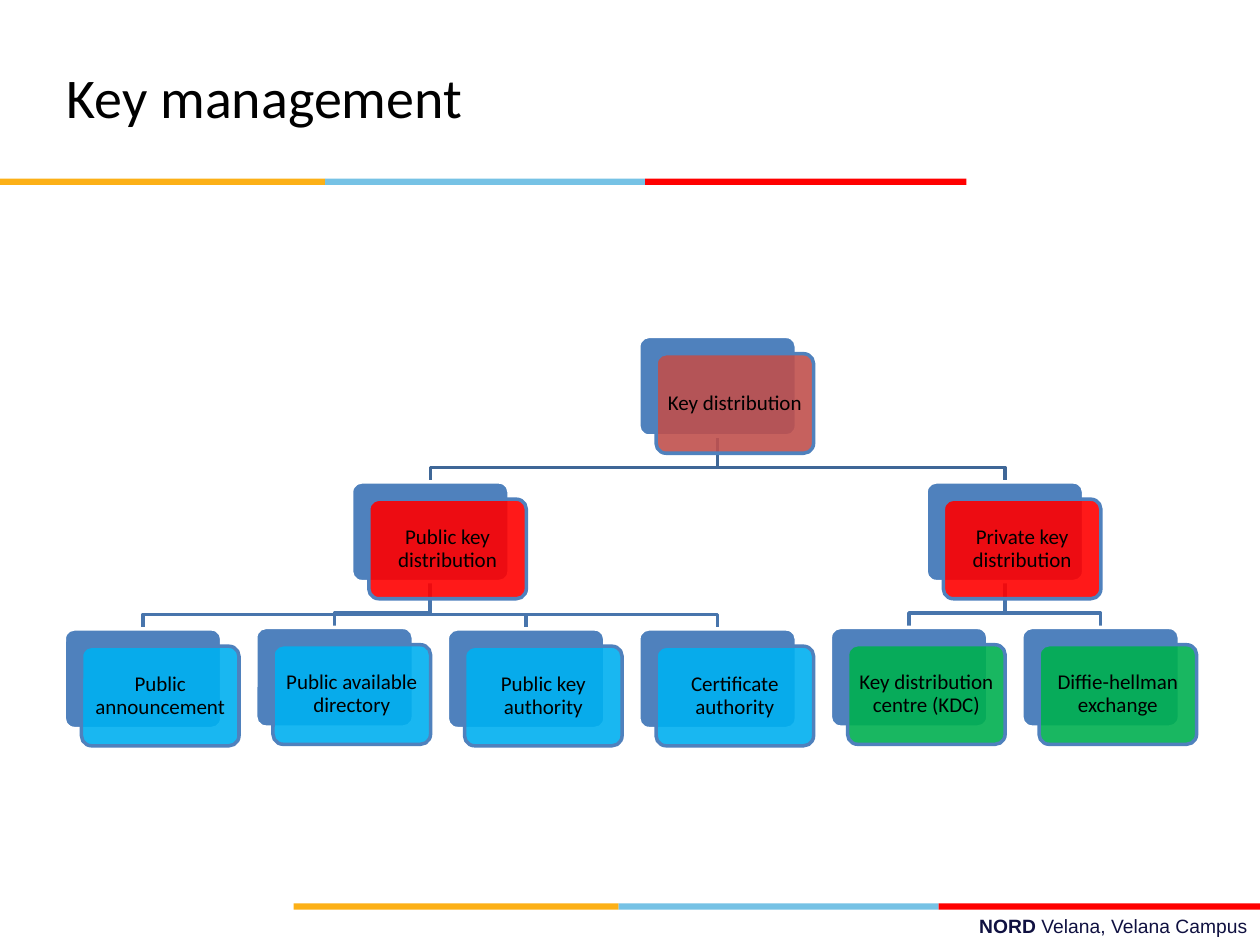
from dataclasses import dataclass

import pptx
import pptx.dml.color
import pptx.enum.shapes
import pptx.enum.text
import pptx.oxml.ns
import pptx.util
from lxml import etree

Inches = pptx.util.Inches
Pt = pptx.util.Pt
Align = pptx.enum.text.PP_ALIGN
Anchor = pptx.enum.text.MSO_ANCHOR


@dataclass(frozen=True)
class Theme:
    heading_font: str = "Calibri"
    footer_font: str = "Arial"
    title_size: int = 32
    node_size: int = 12
    footer_size: int = 11
    text: str = "000000"
    footer: str = "101141"
    white: str = "FFFFFF"
    back_card: str = "4F81BD"
    root: str = "C0504D"
    branch: str = "FF0000"
    public_leaf: str = "00B0F0"
    private_leaf: str = "00B050"
    upper_link: str = "3F6797"
    lower_link: str = "4875AC"
    stripes: tuple = ("FCB017", "76C2E5", "FF0000")
    card_opacity: int = 90
    line_width: int = 2


@dataclass(frozen=True)
class Node:
    """A labelled card at a column and row of the tree grid."""
    label: str
    color: str
    column: float
    row: float
    children: tuple = ()


@dataclass(frozen=True)
class TreeGrid:
    """Card grid in inches; fractional columns centre a parent over its children."""
    left: float = 0.51
    top: float = 2.67
    column_pitch: float = 1.52
    row_pitch: float = 1.155
    card_width: float = 1.25
    card_height: float = 0.79
    card_offset: float = 0.137
    link_drop: float = 0.115

    def corner(self, node):
        return (self.left + node.column * self.column_pitch,
                self.top + node.row * self.row_pitch)


def rgb(color):
    return pptx.dml.color.RGBColor.from_string(color)


class SlideBuilder:
    def __init__(self, presentation, theme, grid):
        self.theme = theme
        self.grid = grid
        self.width = presentation.slide_width
        self.height = presentation.slide_height
        self.slide = presentation.slides.add_slide(presentation.slide_layouts[5])

    def place(self, left, top, width, height):
        """Turn shares of the slide's size into lengths."""
        return (int(left * self.width), int(top * self.height),
                int(width * self.width), int(height * self.height))

    def add_run(self, paragraph, text, font, size, color, bold=False):
        run = paragraph.add_run()
        run.text = text
        run.font.name = font
        run.font.size = Pt(size)
        run.font.bold = bold
        run.font.color.rgb = rgb(color)

    def title(self, text, *area):
        shape = self.slide.shapes.title
        shape.left, shape.top, shape.width, shape.height = self.place(*area)
        frame = shape.text_frame
        frame.word_wrap = True
        frame.vertical_anchor = Anchor.MIDDLE
        paragraph = frame.paragraphs[0]
        paragraph.alignment = Align.LEFT
        self.add_run(paragraph, text, self.theme.heading_font,
                     self.theme.title_size, self.theme.text)

    def footer(self, runs, *area):
        frame = self.slide.shapes.add_textbox(*self.place(*area)).text_frame
        frame.word_wrap = True
        paragraph = frame.paragraphs[0]
        paragraph.alignment = Align.RIGHT
        for text, bold in runs:
            self.add_run(paragraph, text, self.theme.footer_font,
                         self.theme.footer_size, self.theme.footer, bold)

    def stripe(self, left, top):
        """Draw the three-colour rule, just over three quarters of the slide wide."""
        for color, width in zip(self.theme.stripes, (0.258, 0.254, 0.255)):
            shape = self.slide.shapes.add_shape(
                pptx.enum.shapes.MSO_SHAPE.RECTANGLE,
                *self.place(left, top, width, 0.0067))
            shape.shadow.inherit = False
            shape.fill.solid()
            shape.fill.fore_color.rgb = rgb(color)
            shape.line.fill.background()
            left += width

    def card(self, left, top, fill, line):
        shape = self.slide.shapes.add_shape(
            pptx.enum.shapes.MSO_SHAPE.ROUNDED_RECTANGLE, Inches(left), Inches(top),
            Inches(self.grid.card_width), Inches(self.grid.card_height))
        shape.adjustments[0] = 0.1
        shape.shadow.inherit = False
        shape.fill.solid()
        shape.fill.fore_color.rgb = rgb(fill)
        shape.line.color.rgb = rgb(line)
        shape.line.width = Pt(self.theme.line_width)
        return shape

    def node(self, node):
        left, top = self.grid.corner(node)
        offset = self.grid.card_offset
        self.card(left, top, self.theme.back_card, self.theme.white)
        front = self.card(left + offset, top + offset, node.color, self.theme.back_card)
        color = front.fill._xPr.find(".//" + pptx.oxml.ns.qn("a:srgbClr"))
        alpha = etree.SubElement(color, pptx.oxml.ns.qn("a:alpha"))
        alpha.set("val", str(self.theme.card_opacity * 1000))

        frame = front.text_frame
        frame.word_wrap = True
        frame.vertical_anchor = Anchor.MIDDLE
        frame.margin_left = frame.margin_right = Inches(0.05)
        frame.margin_top = frame.margin_bottom = Inches(0.05)
        paragraph = frame.paragraphs[0]
        paragraph.alignment = Align.CENTER
        paragraph.line_spacing = 0.9
        self.add_run(paragraph, node.label, self.theme.heading_font,
                     self.theme.node_size, self.theme.text)

    def link(self, parent, child, color):
        """Draw the elbow from a parent's bottom middle to a child's top middle."""
        half = self.grid.card_width / 2
        parent_left, parent_top = self.grid.corner(parent)
        child_left, child_top = self.grid.corner(child)
        start, end = parent_left + half, child_left + half
        bend = child_top - self.grid.link_drop
        builder = self.slide.shapes.build_freeform(
            Inches(start), Inches(parent_top + self.grid.card_height))
        builder.add_line_segments(
            [(Inches(x), Inches(y)) for x, y in
             ((start, bend), (end, bend), (end, child_top))], close=False)
        shape = builder.convert_to_shape()
        shape.shadow.inherit = False
        shape.fill.background()
        shape.line.color.rgb = rgb(color)
        shape.line.width = Pt(self.theme.line_width)

    def tree(self, root):
        for branch in root.children:
            for leaf in branch.children:
                self.link(branch, leaf, self.theme.lower_link)
            self.link(root, branch, self.theme.upper_link)
        self.node(root)
        for branch in root.children:
            for node in (branch, *branch.children):
                self.node(node)


def main():
    presentation = pptx.Presentation()
    presentation.slide_width, presentation.slide_height = Inches(10), Inches(7.5)
    theme = Theme()
    public = Node("Public key distribution", theme.branch, 1.5, 1, (
        Node("Public announcement", theme.public_leaf, 0, 2.01),
        Node("Public available directory", theme.public_leaf, 1, 2),
        Node("Public key authority", theme.public_leaf, 2, 2.01),
        Node("Certificate authority", theme.public_leaf, 3, 2.01)))
    private = Node("Private key distribution", theme.branch, 4.5, 1, (
        Node("Key distribution centre (KDC)", theme.private_leaf, 4, 2),
        Node("Diffie-hellman exchange", theme.private_leaf, 5, 2)))

    builder = SlideBuilder(presentation, theme, TreeGrid())
    builder.footer((("NORD ", True), ("Velana, Velana Campus", False)),
                   0.358, 0.961, 0.642, 0.039)
    builder.stripe(0.233, 0.956)
    builder.stripe(0, 0.189)
    builder.title("Key management", 0.043, 0.04, 0.669, 0.124)
    builder.tree(Node("Key distribution", theme.root, 3, 0, (public, private)))
    presentation.save("out.pptx")


if __name__ == "__main__":
    main()
